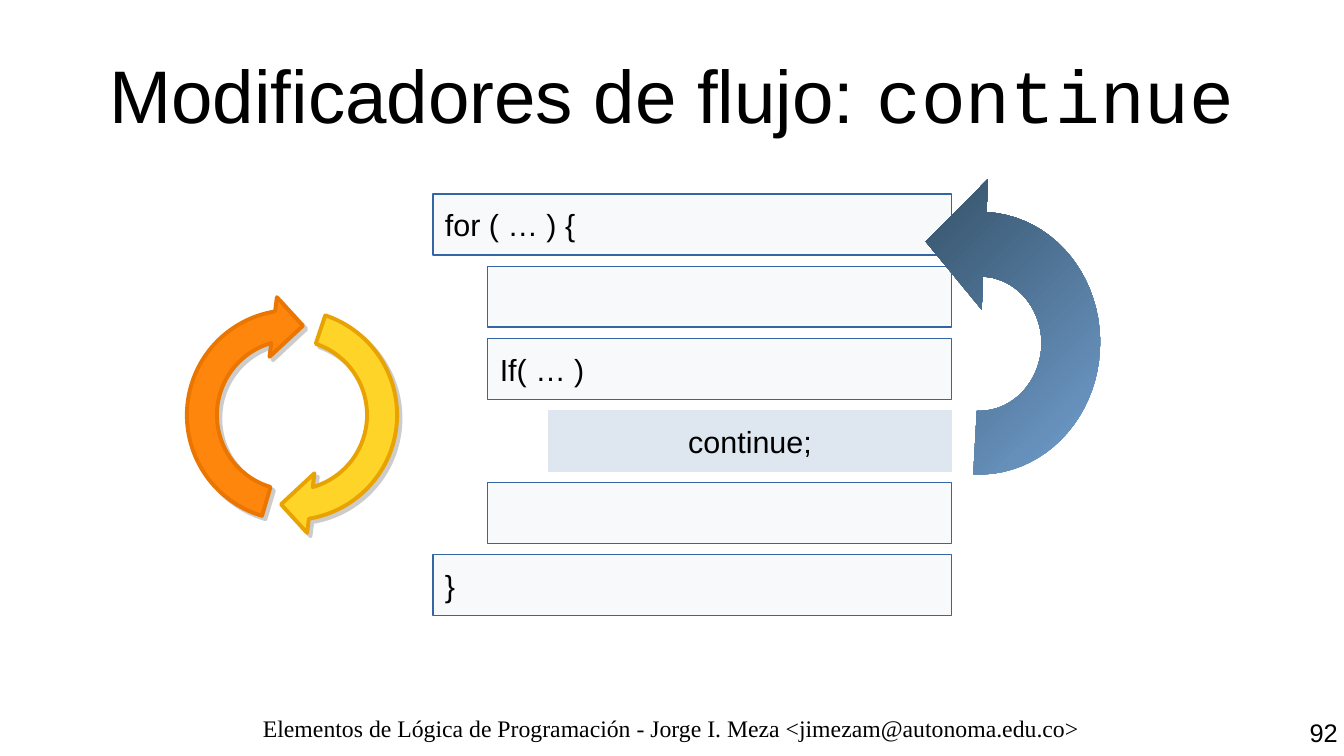
from lxml.etree import SubElement
from pptx import Presentation
from pptx.dml.color import RGBColor
from pptx.enum.shapes import MSO_SHAPE
from pptx.enum.text import MSO_ANCHOR, PP_ALIGN
from pptx.oxml.ns import qn
from pptx.util import Pt

BLACK = RGBColor(0x00, 0x00, 0x00)
PALE = RGBColor(0xDE, 0xE6, 0xEF)
BLUE = RGBColor(0x34, 0x65, 0xA4)
SKY = RGBColor(0x72, 0x9F, 0xCF)
NAVY = RGBColor(0x35, 0x52, 0x69)
ORANGE = RGBColor(0xFF, 0x86, 0x0D)
RUST = RGBColor(0xEA, 0x75, 0x00)
YELLOW = RGBColor(0xFF, 0xD4, 0x28)
GOLD = RGBColor(0xE8, 0xA2, 0x02)

LEFT, CENTER, RIGHT = PP_ALIGN.LEFT, PP_ALIGN.CENTER, PP_ALIGN.RIGHT
TOP, MIDDLE = MSO_ANCHOR.TOP, MSO_ANCHOR.MIDDLE
SANS, MONO, SERIF = "Arial", "Courier New", "Times New Roman"


def curve(start, first, second, end, steps=20):
    """Points along a cubic Bezier curve, without its start."""
    points = []
    for step in range(1, steps + 1):
        t = step / steps
        u = 1 - t
        points.append(tuple(
            u**3 * a + 3 * u * u * t * b + 3 * u * t * t * c + t**3 * d
            for a, b, c, d in zip(start, first, second, end)))
    return points


class Board:
    def __init__(self, slide):
        self.slide = slide
        self.shapes = slide.shapes

    def set_text(self, shape, runs, size, align=LEFT, anchor=MIDDLE, pad=(0, 0), wrap=True):
        """Fill a shape with runs of (text, font); pad is side, then top and bottom."""
        frame = shape.text_frame
        frame.word_wrap = wrap
        frame.vertical_anchor = anchor
        frame.margin_left = frame.margin_right = Pt(pad[0])
        frame.margin_top = frame.margin_bottom = Pt(pad[1])
        para = frame.paragraphs[0]
        para.alignment = align
        for text, font in runs:
            run = para.add_run()
            run.text = text
            run.font.name = font
            run.font.size = Pt(size)
            run.font.color.rgb = BLACK

    def label(self, box, runs, size, align, **style):
        shape = self.shapes.add_textbox(*map(Pt, box))
        self.set_text(shape, runs, size, align, **style)

    def paint(self, shape, fill, line, width):
        shape.shadow.inherit = False
        shape.fill.solid()
        shape.fill.fore_color.rgb = fill
        shape.line.color.rgb = line
        shape.line.width = Pt(width)

    def bar(self, box, text, key=False):
        """One line of code; the key line is solid and centred."""
        shape = self.shapes.add_shape(MSO_SHAPE.RECTANGLE, *map(Pt, box))
        self.paint(shape, PALE, PALE if key else BLUE, 0)
        if not key:
            color = shape.element.spPr.find(qn("a:solidFill"))[0]
            SubElement(color, qn("a:alpha"), val="21000")
        if text:
            self.set_text(shape, [(text, SANS)], 18, CENTER if key else LEFT, pad=(7.2, 3.6))

    def loop(self, box, halves):
        """A ring of two round arrows, the second one flipped."""
        group = self.shapes.add_group_shape()
        for fill, line, sweep, flip in halves:
            shape = group.shapes.add_shape(MSO_SHAPE.CIRCULAR_ARROW, *map(Pt, box))
            for i, value in enumerate((0.125, 11.423, 204.577, sweep, 0.125)):
                shape.adjustments[i] = value
            shape.rotation = 277
            self.paint(shape, fill, line, 2.3)
            props = shape.element.spPr
            if flip:
                frame = props.find(qn("a:xfrm"))
                frame.set("flipH", "1")
                frame.set("flipV", "1")
            shade = SubElement(
                props.find(qn("a:effectLst")), qn("a:outerShdw"), blurRad="0",
                dist=str(Pt(2.8)), dir="2700000", algn="tl", rotWithShape="0")
            SubElement(shade, qn("a:srgbClr"), val="CCCCCC")

    def bend(self, points, light, dark):
        start, *rest = [(Pt(x), Pt(y)) for x, y in points]
        form = self.shapes.build_freeform(*start)
        form.add_line_segments(rest, close=True)
        shape = form.convert_to_shape()
        shape.shadow.inherit = False
        shape.fill.gradient()
        shape.fill.gradient_angle = 135
        for stop, color in zip(shape.fill.gradient_stops, (light, dark)):
            stop.color.rgb = color
        shape.line.fill.background()


def main():
    deck = Presentation()
    deck.slide_width, deck.slide_height = Pt(793.44), Pt(446.4)
    board = Board(deck.slides.add_slide(deck.slide_layouts[6]))

    board.label((710.6, 419.8, 82.8, 26.6), [("92", SANS)], 15, RIGHT,
                anchor=TOP, pad=(3.6, 3.6), wrap=False)
    board.label((39.6, 18, 714.24, 74.9),
                [("Modificadores de flujo: ", SANS), ("continue", MONO)], 44, CENTER)

    code = [(0, "for ( … ) {"), (1, ""), (1, "If( … )"),
            (2, "continue;"), (1, ""), (0, "}")]
    lefts, edge = (255.6, 288, 324), 561.6
    for row, (depth, text) in enumerate(code):
        left = lefts[depth]
        board.bar((left, 114.6 + 42.6 * row, edge - left, 36), text, key=depth == 2)

    board.loop((101.5, 174.2, 141.8, 141.8),
               [(ORANGE, RUST, 113.733, False), (YELLOW, GOLD, 114.868, True)])

    inner, mid, low = (580.3, 163.4), (614.9, 204.5), (576.7, 242.6)
    base, side, high = (574.6, 280.1), (649.4, 206.6), (582.5, 125.3)
    board.bend([
        inner,
        *curve(inner, (600.5, 164.2), (615.6, 182.9), mid),
        *curve(mid, (613.4, 226.8), (596.9, 243.4), low),
        base,
        *curve(base, (614.2, 282.2), (647.3, 249.1), side),
        *curve(side, (651.6, 163.4), (621.4, 127.4), high),
        (583.2, 105.8), (546.5, 142.6), (579.6, 182.9),
    ], SKY, NAVY)

    credit = "Elementos de Lógica de Programación - Jorge I. Meza <jimezam@autonoma.edu.co>"
    board.label((36.7, 421.2, 719.3, 25.2), [(credit, SERIF)], 14, CENTER, anchor=TOP)
    deck.save("out.pptx")


if __name__ == "__main__":
    main()
